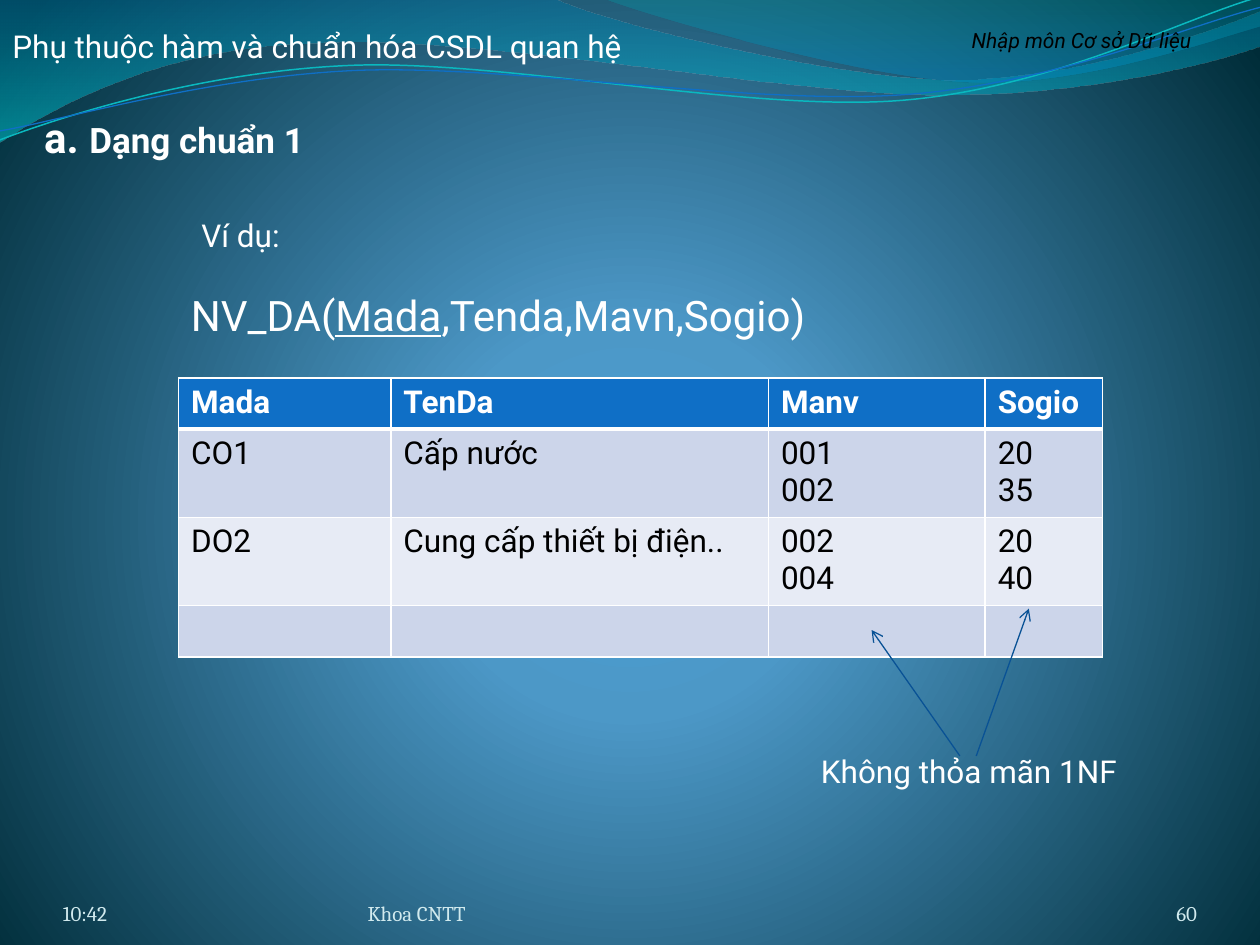
from lxml.etree import SubElement
from pptx import Presentation
from pptx.dml.color import RGBColor
from pptx.enum.shapes import MSO_CONNECTOR as CONNECTOR
from pptx.enum.text import MSO_ANCHOR as ANCHOR, PP_ALIGN as ALIGN
from pptx.oxml.ns import qn
from pptx.util import Cm, Pt

SLIDE_W, SLIDE_H = 25.4, 19.05
WHITE, BLACK, BLUE, TEAL = "FFFFFF", "000000", "0F6FC6", "0AB8BF"
ARROW_BLUE, FOOTER_TINT = "095295", "D1EAEE"
BAND_DARK, BAND_LIGHT = "CCD5EA", "E7EBF5"

# Waves in cm: a start point, then lines (x, y) and cubic curves (three points).
WIDE_BAND = [(0, 0), (11.18, -0.03), (12.09, 0.43, 16.87, 1.6, 19.25, 1.6),
             (21.67, 1.6, 24.33, 0.66, 25.4, 0.23), (25.43, 0.91),
             (24.97, 1.12, 22.1, 1.93, 18.95, 1.91),
             (15.8, 1.91, 9.7, 0.71, 6.53, 0.86),
             (3.28, 0.91, 1.17, 2.11, -0.03, 2.87)]
RIGHT_BAND = [(12.17, -0.03), (12.93, 0.28, 17.32, 1.57, 19.53, 1.65),
              (21.74, 1.75, 24.41, 0.81, 25.4, 0.53), (25.4, 0)]
TEAL_WAVE = [(0, 2.82), (1.22, 2.36, 4.01, 1.45, 7.04, 1.32),
             (10.03, 1.19, 15.06, 2.26, 18.11, 2.03),
             (21.16, 1.8, 23.83, 0.38, 25.35, -0.05)]
BLUE_WAVE = [(0, 2.64), (1.19, 2.44, 4.17, 1.55, 7.19, 1.42),
             (10.24, 1.3, 15.16, 2.13, 18.21, 1.91),
             (21.23, 1.7, 23.9, 0.53, 25.4, 0.15)]

PROJECTS = [["Mada", "TenDa", "Manv", "Sogio"],
            ["CO1", "Cấp nước", "001\n002", "20\n35"],
            ["DO2", "Cung cấp thiết bị điện..", "002\n004", "20\n40"],
            ["", "", "", ""]]
COLUMN_WIDTHS = [4.28, 7.61, 4.37, 2.36]
ROW_HEIGHTS = [1.03, 1.78, 1.78, 1.03]


def rgb(hex_code):
    return RGBColor.from_string(hex_code)


def set_gradient(fill, owner, stops, circle=None):
    """Fill with (percent, colour, opacity) stops, downwards or around a circle rect."""
    fill.gradient()
    gradient = next(owner.iter(qn("a:gradFill")))
    for child in list(gradient):
        gradient.remove(child)
    stop_list = SubElement(gradient, qn("a:gsLst"))
    for percent, colour, opacity in stops:
        stop = SubElement(stop_list, qn("a:gs"), pos=str(percent * 1000))
        tone = SubElement(stop, qn("a:srgbClr"), val=colour)
        if opacity < 100:
            SubElement(tone, qn("a:alpha"), val=str(opacity * 1000))
    if circle:
        rings = SubElement(gradient, qn("a:path"), {"path": "circle"})
        SubElement(rings, qn("a:fillToRect"),
                   {side: str(part * 1000) for side, part in zip("ltrb", circle)})
    else:
        SubElement(gradient, qn("a:lin"), ang="5400000", scaled="0")


def add_wave(slide, left, top, segments, close):
    """Draw every point as a line, then join the three of each curve into one Bézier."""
    points = [(Cm(left + x), Cm(top + y))
              for segment in segments for x, y in zip(segment[::2], segment[1::2])]
    builder = slide.shapes.build_freeform(*points[0])
    builder.add_line_segments(points[1:], close=close)
    wave = builder.convert_to_shape()
    wave.shadow.inherit = False
    steps = iter(list(wave.element.iter(qn("a:lnTo"))))
    for segment in segments[1:]:
        first = next(steps)
        if len(segment) == 6:
            first.tag = qn("a:cubicBezTo")
            for follower in (next(steps), next(steps)):
                first.append(follower[0])
                follower.getparent().remove(follower)
    return wave


def add_waves(slide, left, top):
    bands = [(WIDE_BAND, [(0, "0074A1", 45), (100, "00C6CF", 55)]),
             (RIGHT_BAND, [(0, "00A1A9", 30), (80, "008BBF", 45)])]
    for segments, stops in bands:
        band = add_wave(slide, left, top, segments, True)
        set_gradient(band.fill, band.element, stops)
        band.line.fill.background()
    for segments, colour, width in [(TEAL_WAVE, TEAL, 0.85), (BLUE_WAVE, BLUE, 0.75)]:
        wave = add_wave(slide, left, top, segments, False)
        wave.fill.background()
        wave.line.color.rgb = rgb(colour)
        wave.line.width = Pt(width)


def style(font, size, colour, name="Roboto", bold=False, italic=False):
    font.size, font.name, font.bold, font.italic = Pt(size), name, bold, italic
    font.color.rgb = rgb(colour)


def add_label(slide, box, pieces, size, colour=WHITE, align=ALIGN.LEFT, wrap=True, **look):
    """Add one paragraph made of text pieces; returns its text frame."""
    frame = slide.shapes.add_textbox(*map(Cm, box)).text_frame
    frame.word_wrap = wrap
    paragraph = frame.paragraphs[0]
    paragraph.alignment = align
    for piece in pieces:
        paragraph.add_run().text = piece
    style(paragraph.font, size, colour, **look)
    return frame


def add_header(slide, left, top):
    add_label(slide, (left + 18.21, top, 7.19, 0.76), ["Nhập môn Cơ sở Dữ liệu"], 12,
              BLACK, ALIGN.CENTER, italic=True)
    add_label(slide, (left, top, 12.98, 1.02),
              ["Phụ thuộc hàm và chuẩn hóa CSDL quan hệ"], 18, wrap=False)


def add_footer(slide, left, top):
    parts = [(0, 5.92, "10:42", ALIGN.LEFT), (6.14, 9.32, "Khoa CNTT", ALIGN.LEFT),
             (20.75, 2.11, "60", ALIGN.RIGHT)]
    for offset, width, words, align in parts:
        frame = add_label(slide, (left + offset, top, width, 1.02), [words], 12,
                          FOOTER_TINT, align, name="Cambria")
        frame.vertical_anchor = ANCHOR.BOTTOM
        frame.margin_left = frame.margin_right = frame.margin_top = frame.margin_bottom = 0


def add_example(slide, left, top):
    heading = add_label(slide, (left, top, 23.29, 1.27), ["a. ", "Dạng chuẩn 1"], 24, bold=True)
    heading.paragraphs[0].runs[1].font.size = Pt(20)
    add_label(slide, (left + 3.17, top + 2.12, 3.07, 1.02), ["Ví dụ:"], 18, wrap=False)
    relation = add_label(slide, (left + 2.96, top + 3.59, 12.95, 1.27),
                         ["NV_DA(", "Mada", ",Tenda,Mavn,Sogio)"], 24, wrap=False)
    relation.paragraphs[0].runs[1].font.underline = True


def set_borders(cell, bottom_width):
    properties = cell._tc.get_or_add_tcPr()
    for position, (side, width) in enumerate(zip("LRTB", (1, 1, 1, bottom_width))):
        border = SubElement(properties, qn(f"a:ln{side}"), w=str(Pt(width)))
        SubElement(SubElement(border, qn("a:solidFill")), qn("a:srgbClr"), val=WHITE)
        properties.insert(position, border)


def add_project_table(slide, left, top):
    box = map(Cm, (left, top, sum(COLUMN_WIDTHS), sum(ROW_HEIGHTS)))
    table = slide.shapes.add_table(len(PROJECTS), len(COLUMN_WIDTHS), *box).table
    for column, width in zip(table.columns, COLUMN_WIDTHS):
        column.width = Cm(width)
    for index, (row, height, entries) in enumerate(zip(table.rows, ROW_HEIGHTS, PROJECTS)):
        row.height = Cm(height)
        is_head = index == 0
        shade = BLUE if is_head else BAND_DARK if index % 2 else BAND_LIGHT
        for cell, entry in zip(row.cells, entries):
            cell.text = entry
            cell.fill.solid()
            cell.fill.fore_color.rgb = rgb(shade)
            set_borders(cell, 3 if is_head else 1)
            for paragraph in cell.text_frame.paragraphs:
                style(paragraph.font, 18, WHITE if is_head else BLACK, bold=is_head)


def add_violation_note(slide, left, top):
    add_label(slide, (left, top, 6.5, 1.02), ["Không thỏa mãn 1NF"], 18, wrap=False)
    for start_x, end_x, end_y in [(3.38, 4.44, -2.77), (3.05, 1.27, -2.34)]:
        ends = (left + start_x, top + 0.2, left + end_x, top + end_y)
        arrow = slide.shapes.add_connector(CONNECTOR.STRAIGHT, *map(Cm, ends))
        arrow.line.color.rgb = rgb(ARROW_BLUE)
        arrow.line.width = Pt(0.75)
        SubElement(arrow.line._get_or_add_ln(), qn("a:tailEnd"), type="arrow")
        SubElement(arrow.element.spPr, qn("a:effectLst"))


def main():
    deck = Presentation()
    deck.slide_width, deck.slide_height = Cm(SLIDE_W), Cm(SLIDE_H)
    slide = deck.slides.add_slide(deck.slide_layouts[6])
    set_gradient(slide.background.fill, slide.element,
                 [(0, "4AA0D6", 100), (25, "4C98C7", 100), (100, "002C38", 100)],
                 circle=(10, 110, 10, 100))
    add_waves(slide, 0, 0)
    add_header(slide, 0, 0.43)
    add_footer(slide, 1.27, 17.65)
    add_example(slide, 0.64, 2.12)
    add_project_table(slide, 3.6, 7.62)
    add_violation_note(slide, 16.3, 15.04)
    deck.save("out.pptx")


if __name__ == "__main__":
    main()
